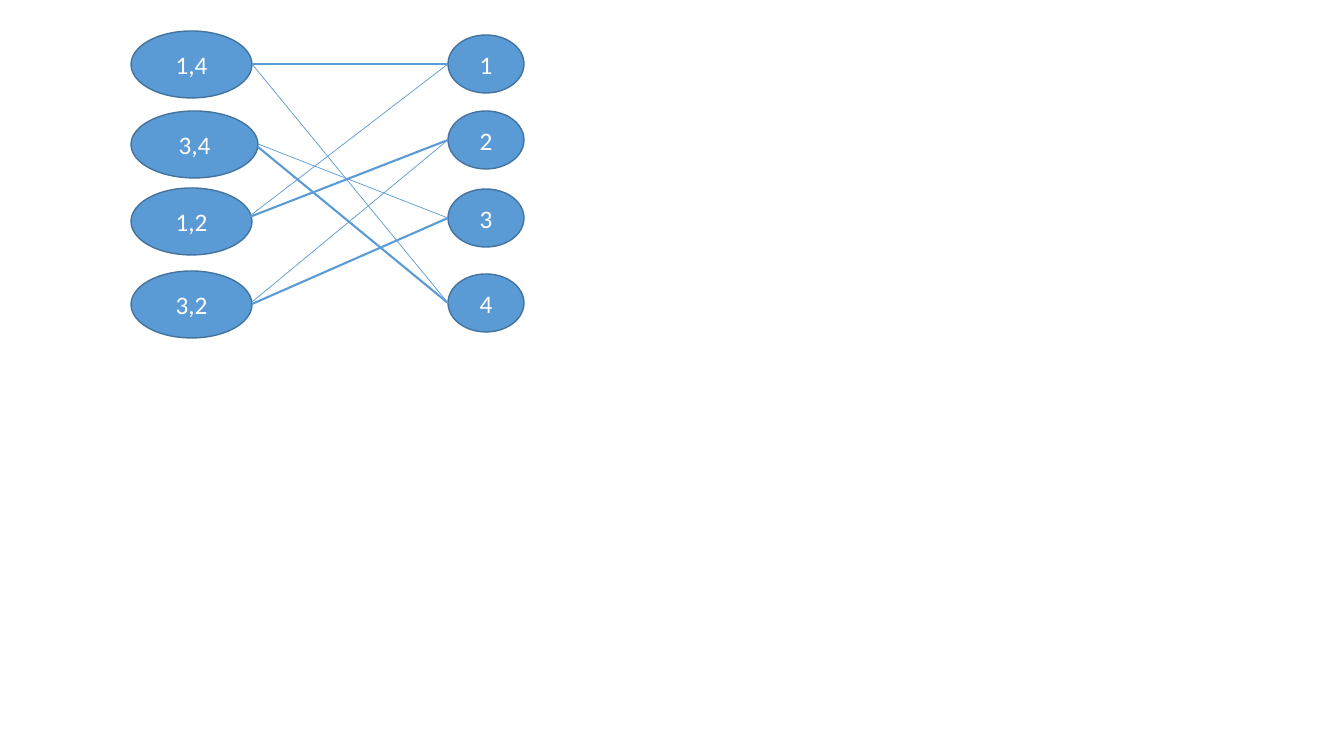
from pptx import Presentation
from pptx import util as u
from pptx.dml.color import RGBColor
from pptx.enum import shapes, text
from pptx.oxml.ns import qn
from lxml import etree

# Content: label, top, width, edges as (start x, start y, number reached, line points)
PAIRS = [
    ("1,4", 31, 121, [(252, 64, "1", 1.5), (252, 64, "4", 0.5)]),
    ("3,4", 111, 127, [(258, 144, "3", 0.5), (258, 147, "4", 1.5)]),
    ("1,2", 188, 121, [(242, 222, "1", 0.5), (247, 218, "2", 1.5)]),
    ("3,2", 271, 121, [(252, 304, "3", 1.5), (252, 302, "2", 0.5)]),
]
NUMBER_TOPS = {"1": 35, "2": 111, "3": 189, "4": 274}

PAIR_LEFT, PAIR_HEIGHT = 131, 67
NUMBER_LEFT, NUMBER_WIDTH, NUMBER_HEIGHT = 448, 76, 58
BLUE, OUTLINE, WHITE = "5B9BD5", "43739E", "FFFFFF"
FONT = "Calibri"


def px(length):
    return u.Emu(round(length * 914400 / 100.8))


def color(value):
    return RGBColor.from_string(value)


def add_node(slide, label, left, top, width, height):
    node = slide.shapes.add_shape(
        shapes.MSO_SHAPE.OVAL, px(left), px(top), px(width), px(height))
    node.shadow.inherit = False
    node.fill.solid()
    node.fill.fore_color.rgb = color(BLUE)
    node.line.color.rgb = color(OUTLINE)
    node.line.width = u.Pt(1)
    frame = node.text_frame
    frame.text = label
    frame.vertical_anchor = text.MSO_ANCHOR.MIDDLE
    paragraph = frame.paragraphs[0]
    paragraph.alignment = text.PP_ALIGN.CENTER
    font = paragraph.runs[0].font
    font.name = FONT
    font.size = u.Pt(18)
    font.color.rgb = color(WHITE)


def add_edge(slide, start_x, start_y, end_x, end_y, points):
    edge = slide.shapes.add_connector(
        shapes.MSO_CONNECTOR.STRAIGHT, px(start_x), px(start_y), px(end_x), px(end_y))
    edge.line.color.rgb = color(BLUE)
    edge.line.width = u.Pt(points)
    etree.SubElement(edge._element.spPr, qn("a:effectLst"))


def main():
    presentation = Presentation()
    presentation.slide_width = px(1344)
    presentation.slide_height = px(756)
    slide = presentation.slides.add_slide(presentation.slide_layouts[6])

    # Pairs on the left, numbers on the right
    for label, top, width, _ in PAIRS:
        add_node(slide, label, PAIR_LEFT, top, width, PAIR_HEIGHT)
    for label, top in NUMBER_TOPS.items():
        add_node(slide, label, NUMBER_LEFT, top, NUMBER_WIDTH, NUMBER_HEIGHT)

    # Edges end at the left middle of each number
    for _, _, _, edges in PAIRS:
        for start_x, start_y, number, points in edges:
            end_y = NUMBER_TOPS[number] + NUMBER_HEIGHT / 2
            add_edge(slide, start_x, start_y, NUMBER_LEFT, end_y, points)

    presentation.save("out.pptx")


if __name__ == "__main__":
    main()
